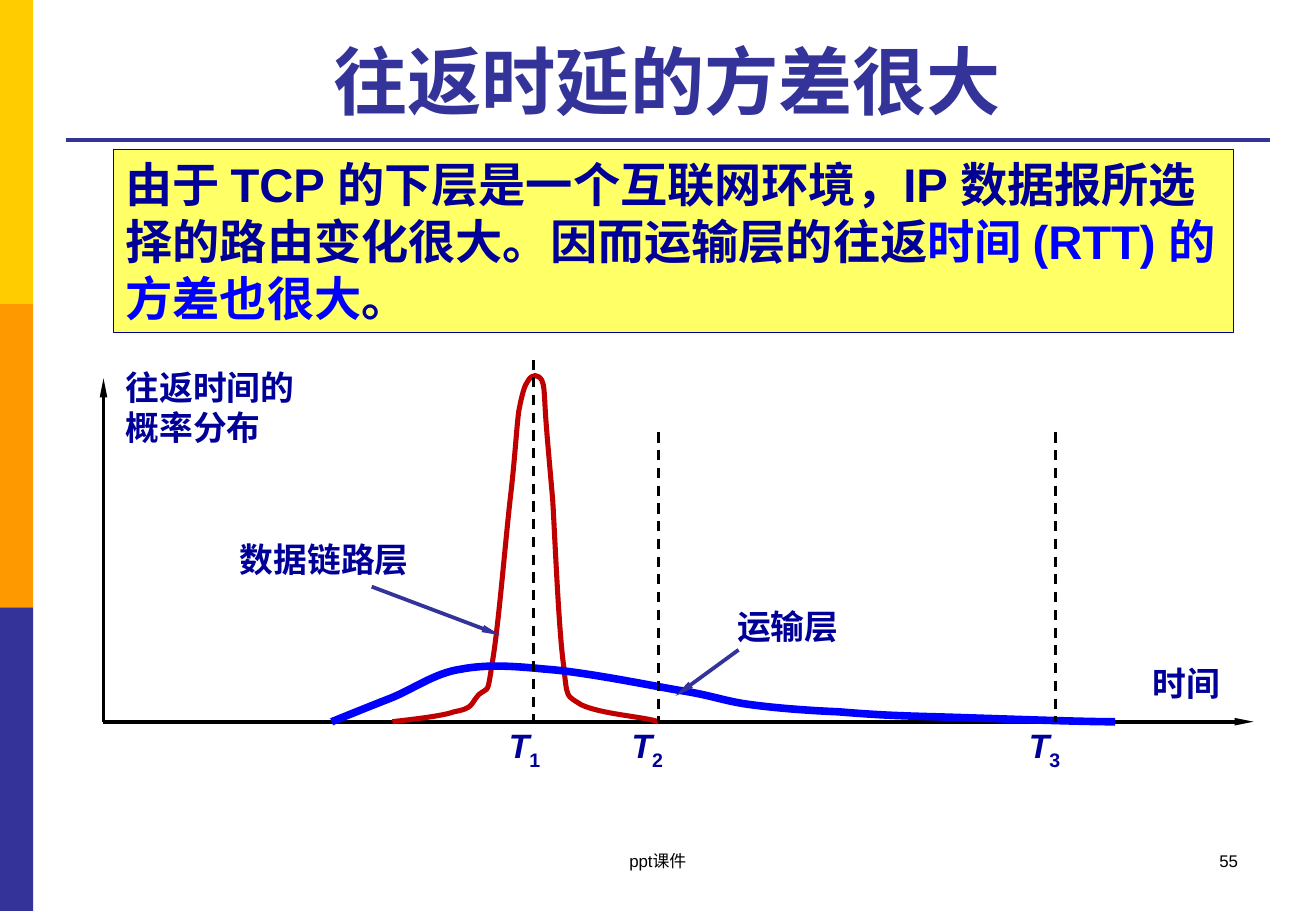
from pptx import Presentation
from pptx.dml.color import RGBColor
from pptx.enum.dml import MSO_LINE
from pptx.enum.shapes import MSO_CONNECTOR, MSO_SHAPE
from pptx.enum.text import MSO_ANCHOR, MSO_AUTO_SIZE, PP_ALIGN
from pptx.oxml.ns import qn
from pptx.util import Inches, Pt
from lxml.etree import SubElement

hue = RGBColor.from_string
cell = Inches(0.1)  # side of one grid square
deck = Presentation()
deck.slide_width, deck.slide_height = int(108.33 * cell), 75 * cell
slide = deck.slides.add_slide(deck.slide_layouts[6])
shapes = slide.shapes
NAVY, INK, BLUE, BLACK = "333399", "000099", "0000FF", "000000"


def write(text, col, row, wide, high, size=20, color=INK, bold=True, fill=None,
          align=PP_ALIGN.LEFT, anchor=MSO_ANCHOR.TOP, wrap=False, grow=True):
    """Text is a string, or a list of (string, changes) runs."""
    area = [int(n * cell) for n in (col, row, wide, high)]
    if fill:
        box = shapes.add_shape(MSO_SHAPE.RECTANGLE, *area)
        box.shadow.inherit = False
        box.fill.solid()
        box.fill.fore_color.rgb = hue(fill)
        box.line.color.rgb, box.line.width = hue(color), Pt(0.75)
    else:
        box = shapes.add_textbox(*area)
    frame = box.text_frame
    frame.word_wrap, frame.vertical_anchor = wrap, anchor
    frame.auto_size = MSO_AUTO_SIZE.SHAPE_TO_FIT_TEXT if grow else MSO_AUTO_SIZE.NONE
    para = frame.paragraphs[0]
    para.alignment = align
    for words, change in [(text, {})] if isinstance(text, str) else text:
        if change.get("fresh"):
            para = frame.add_paragraph()
            para.alignment = align
        run = para.add_run()
        run.text = words
        font = run.font
        font.name, font.size, font.bold = "Arial", Pt(size), bold
        font.italic = change.get("italic", False)
        font.color.rgb = hue(change.get("color", color))
        if "base" in change:
            run._r.get_or_add_rPr().set("baseline", change["base"])


def line(start, end, color, width, dash=False, arrow=False):
    ends = [int(n * cell) for n in (*start, *end)]
    rule = shapes.add_connector(MSO_CONNECTOR.STRAIGHT, *ends)
    rule.line.color.rgb, rule.line.width = hue(color), Pt(width)
    if dash:
        rule.line.dash_style = MSO_LINE.DASH
    if arrow:
        SubElement(rule.line._get_or_add_ln(), qn("a:tailEnd"), type="triangle", w="sm", len="lg")
    SubElement(rule._element.spPr, qn("a:effectLst"))


# Side bars
for i, color in enumerate(["FFCC00", "FF9900", NAVY]):
    bar = shapes.add_shape(MSO_SHAPE.RECTANGLE, 0, i * 25 * cell, int(2.72 * cell), 25 * cell)
    bar.shadow.inherit = False
    bar.fill.solid()
    bar.fill.fore_color.rgb = hue(color)
    bar.line.fill.background()

# Title and its rule
line((5.4, 11.5), (104.55, 11.5), NAVY, 2.25)
write("往返时延的方差很大", 5.4, 2.05, 99.1, 8.7, size=44, color=NAVY,
      align=PP_ALIGN.CENTER, anchor=MSO_ANCHOR.BOTTOM, wrap=True, grow=False)

# Axes
left, base = 8.52, 59.42
line((left, base), (103.2, base), BLACK, 2.25, arrow=True)
line((left, base), (left, 31.15), BLACK, 2.25, arrow=True)

# Curves: a start, then two handles and an end for each Bézier piece
link = [(32.3, base),
        (33.2, 59.3), (36.3, 59), (37.4, 58.6), (39, 58.3), (38.7, 58), (39.4, 57.2),
        (40.2, 56.5), (40.1, 57.4), (40.5, 54.7), (41, 52), (41.6, 44.6), (42, 41.1),
        (42.4, 37.7), (42.5, 35.5), (42.7, 33.9), (43, 32.3), (43.2, 31.7), (43.5, 31.3),
        (43.8, 30.8), (44.3, 30.8), (44.6, 31.3), (44.8, 31.7), (44.8, 32.3), (44.9, 34),
        (45, 35.6), (45.2, 37.7), (45.5, 41.2), (45.7, 44.6), (46, 52), (46.4, 54.8),
        (46.7, 57.6), (46.6, 57.2), (47.8, 58), (49.4, 58.8), (53, 59), (54.2, base)]
trans = [(27.3, base),
         (28.1, 59.1), (30.3, 58.2), (32.1, 57.5), (33.9, 56.8), (35.8, 55.4), (37.9, 55.1),
         (40, 54.7), (42, 54.8), (45, 55.1), (47.9, 55.3), (52.9, 56.3), (55.7, 56.8),
         (58.5, 57.2), (59.5, 57.7), (61.7, 58), (63.9, 58.3), (66.6, 58.5), (69, 58.6),
         (71.5, 58.8), (72.9, 58.9), (76.6, 59), (80.4, 59.1), (88.6, base), (91.8, base)]
for knots, color, width in [(link, "C00000", 3), (trans, BLUE, 4.5)]:
    spots = [(int(x * cell), int(y * cell)) for x, y in knots]
    pen = shapes.build_freeform(*spots[0])
    pen.add_line_segments(spots[1:], close=False)
    curve = pen.convert_to_shape()
    # Join each three straight steps into one Bézier piece
    steps = list(curve._element.iter(qn("a:lnTo")))
    trace = steps[0].getparent()
    for i in range(0, len(steps), 3):
        piece = SubElement(trace, qn("a:cubicBezTo"))
        for step in steps[i:i + 3]:
            piece.append(step[0])
            trace.remove(step)
    curve.shadow.inherit = False
    curve.fill.background()
    curve.line.color.rgb, curve.line.width = hue(color), Pt(width)

# Time marks
for num, col, top, tag in [("1", 43.9, 29.6, 40.9), ("2", 54.22, 35.6, 51), ("3", 86.88, 35.6, 83.7)]:
    line((col, top), (col, base), BLACK, 1.5, dash=True)
    write([("T", {"italic": True}), (num, {"base": "-25000"})], tag, 59.2, 4.8, 4.4)

# Labels and pointers
write("时间", 93.9, 54.1, 7.6, 4.4)
write("数据链路层", 18.75, 43.9, 16, 4.4)
write("运输层", 59.7, 49.4, 10.4, 4.4)
write([("往返时间的", {}), ("概率分布", {"fresh": True})], 9.35, 29.7, 16, 7.7)
line((30.6, 48.3), (41.2, 52.3), NAVY, 2.25, arrow=True)
line((60.8, 53.5), (55.6, 57.3), NAVY, 2.25, arrow=True)

# Yellow note
write([("由于 TCP 的下层是一个互联网环境，IP 数据报所选择的路由变化很大。因而运输层的往返", {}),
       ("时间 (RTT) 的方差也很大", {"color": BLUE}), ("。", {})],
      9.35, 12.3, 92.2, 15.1, size=28, fill="FFFF66", wrap=True)

# Footer
small = dict(size=10, color=BLACK, bold=False, wrap=True, grow=False)
write("ppt课件", 37, 69.5, 34.3, 5, align=PP_ALIGN.CENTER, **small)
write("55", 77.6, 69.5, 25.3, 5, align=PP_ALIGN.RIGHT, **small)

deck.save("out.pptx")
